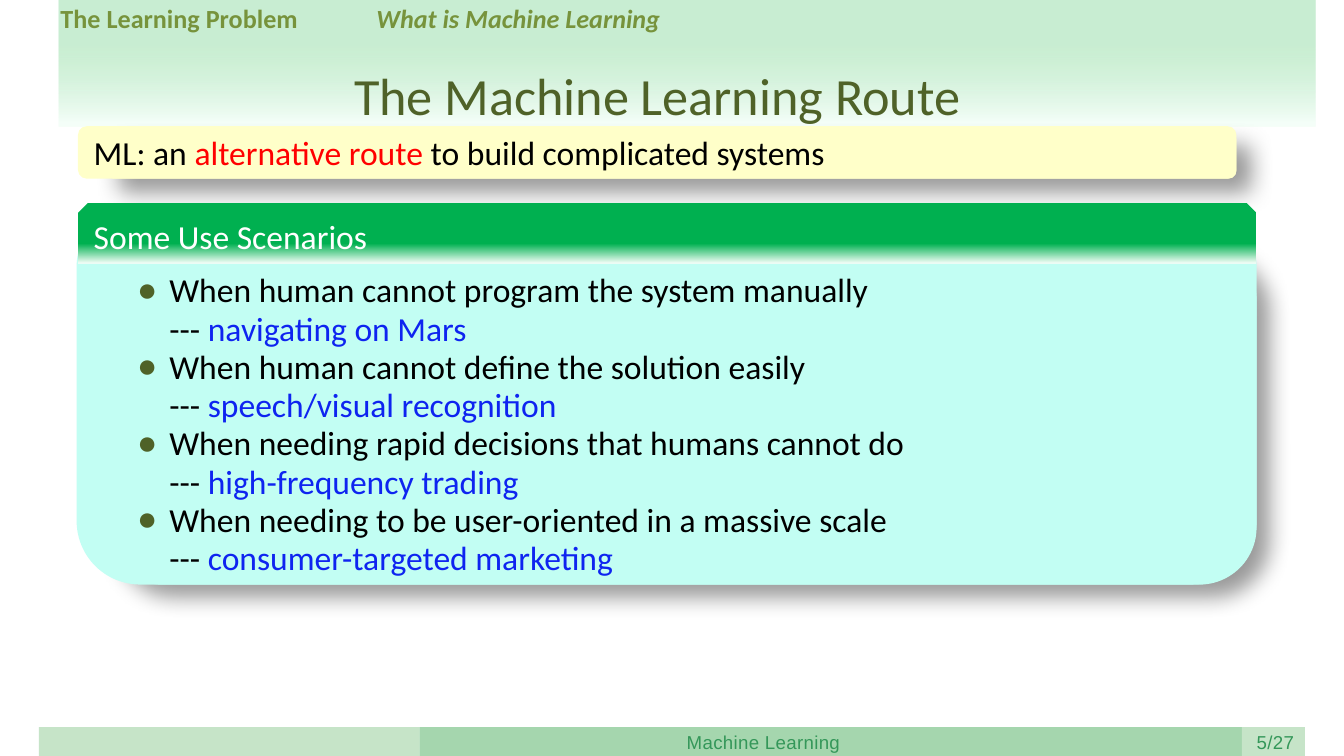
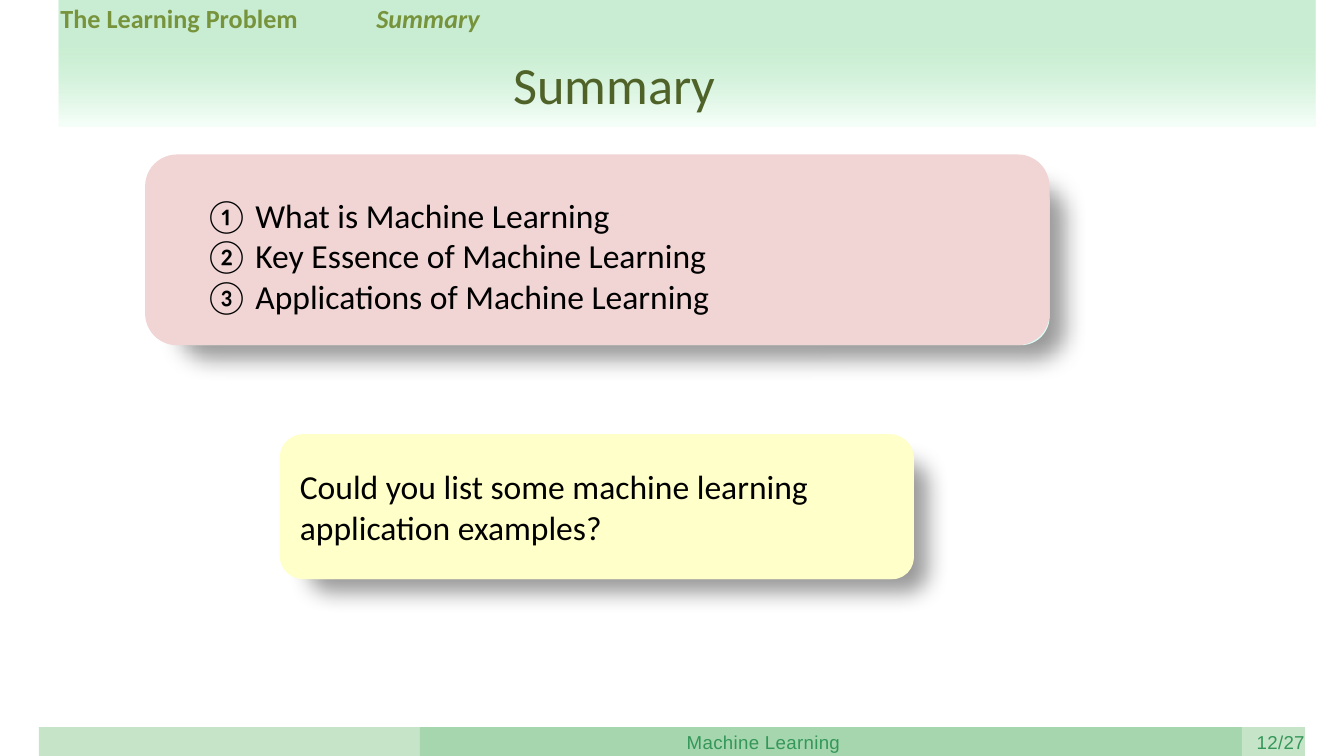
from pptx import Presentation, util as u
from pptx.dml.color import RGBColor
from pptx.enum import shapes, text
from pptx.oxml import parse_xml
from pptx.oxml.ns import nsdecls, qn
from lxml import etree

MINT = RGBColor(0xAD, 0xE5, 0xBA)
PALE_MINT = RGBColor(0xF4, 0xFE, 0xF8)
FOOTER_LIGHT = RGBColor(0xC6, 0xE4, 0xC8)
FOOTER_DARK = RGBColor(0xA5, 0xD6, 0xAE)
FOOTER_TEXT = RGBColor(0x34, 0x97, 0x59)
OLIVE = RGBColor(0x77, 0x93, 0x3C)
DARK_OLIVE = RGBColor(0x4F, 0x62, 0x28)
YELLOW = RGBColor(0xFF, 0xFF, 0xC9)
AQUA = RGBColor(0xC2, 0xFE, 0xF3)
PALE_AQUA = RGBColor(0xDA, 0xFE, 0xF7)
PINK = RGBColor(0xF0, 0xD5, 0xD4)
GREEN = RGBColor(0x00, 0xB0, 0x50)
RED = RGBColor(0xFF, 0x00, 0x00)
BLUE = RGBColor(0x0E, 0x24, 0xF0)
BLACK = RGBColor(0x00, 0x00, 0x00)
WHITE = RGBColor(0xFF, 0xFF, 0xFF)

RECT = shapes.MSO_SHAPE.RECTANGLE
ROUNDED = shapes.MSO_SHAPE.ROUNDED_RECTANGLE
SNIPPED = shapes.MSO_SHAPE.SNIP_2_SAME_RECTANGLE
INSETS = (0.08, 0.04, 0.08, 0.04)

SHADOW = (f'<a:effectLst {nsdecls("a")}><a:outerShdw blurRad="152400" dist="127000" '
          'dir="2700000" algn="tl" rotWithShape="0"><a:srgbClr val="000000">'
          '<a:alpha val="40000"/></a:srgbClr></a:outerShdw></a:effectLst>')

prs = Presentation()
prs.slide_width, prs.slide_height = u.Inches(10), u.Inches(5.625)


def area(x, y, w, h):
    """Turn percentages of the slide's width and height into lengths."""
    return [u.Emu(round(share * side / 100)) for share, side in
            zip((x, y, w, h), (prs.slide_width, prs.slide_height) * 2)]


def write(frame, paragraphs, size=18, font="Calibri", bold=None, italic=None,
          align=text.PP_ALIGN.LEFT, insets=INSETS, anchor=text.MSO_ANCHOR.TOP):
    """Fill a frame; each paragraph is a list of (words, colour)."""
    frame.word_wrap = True
    frame.auto_size = text.MSO_AUTO_SIZE.NONE
    frame.vertical_anchor = anchor
    (frame.margin_left, frame.margin_top,
     frame.margin_right, frame.margin_bottom) = map(u.Inches, insets)
    for number, pieces in enumerate(paragraphs):
        paragraph = frame.add_paragraph() if number else frame.paragraphs[0]
        paragraph.alignment = align
        paragraph.space_before = u.Pt(0)
        for words, colour in pieces:
            first_new = len(paragraph.runs)
            for part, line in enumerate(words.split("\n")):
                if part:
                    paragraph.add_line_break()
                paragraph.add_run().text = line
            for run in paragraph.runs[first_new:]:
                run.font.size, run.font.name = u.Pt(size), font
                run.font.bold, run.font.italic = bold, italic
                run.font.color.rgb = colour


scenarios = [
    ("When human cannot program the system manually", "navigating on Mars"),
    ("When human cannot define the solution easily", "speech/visual recognition"),
    ("When needing rapid decisions that humans cannot do", "high-frequency trading"),
    ("When needing to be user-oriented in a massive scale", "consumer-targeted marketing"),
]
topics = ["What is Machine Learning", "Key Essence of Machine Learning",
          "Applications of Machine Learning"]

# Cards: front area, offset of the layer behind, front and back colour, words
pages = [
    dict(section="What is Machine Learning", title="The Machine Learning Route",
         title_at=(16.5, 7.64), page="5/27",
         cards=[((5.8, 16.71, 86.2, 6.93), (2.1, 0.71), YELLOW, YELLOW,
                 [("ML: an ", BLACK), ("alternative route ", RED),
                  ("to build complicated systems", BLACK)]),
                ((5.7, 26.84, 87.8, 50.49), (2.1, 5.16), AQUA, AQUA, [])],
         header="Some Use Scenarios",
         items=[[(f"{case}\n--- ", BLACK), (example, BLUE)] for case, example in scenarios],
         items_at=(9.4, 34.84, 75.5, 42.49), items_insets=(0.08, 0.06, 0.08, 0.04),
         indent=0.24, line=u.Pt(20.5),
         bullet=("buChar", "char", "●")),
    dict(section="Summary", title="Summary", title_at=(13.3, 6.22), page="12/27",
         cards=[((10.8, 20.44, 67.3, 25.24), (1.6, 2.49), PINK, PALE_AQUA, []),
                ((20.8, 57.42, 47.2, 19.2), (1.2, 1.96), YELLOW, YELLOW,
                 [("Could you list some machine learning application examples?", BLACK)])],
         header=None, items=[[(topic, BLACK)] for topic in topics],
         items_at=(14.2, 24.89, 55, 17.96), items_insets=(0.1, 0.05, 0.1, 0.05),
         indent=0.38, line=1.0,
         bullet=("buAutoNum", "type", "circleNumDbPlain")),
]

for page in pages:
    slide = prs.slides.add_slide(prs.slide_layouts[1])
    tree = slide.shapes
    title, items = slide.placeholders

    # Top band, fading downwards
    band = tree.add_shape(RECT, *area(4.4, -0.36, 93.5, 17.07))
    blocks = [(band, (MINT, 0.37), (PALE_MINT, 0.96))]

    # Footer bars
    for left, right, colour in [(2.9, 31.2, FOOTER_LIGHT), (31.2, 92.4, FOOTER_DARK),
                                (92.4, 97.1, FOOTER_LIGHT)]:
        bar = tree.add_shape(RECT, *area(left, 96.18, right - left, 3.82))
        bar.fill.solid()
        bar.fill.fore_color.rgb = colour
        bar.line.fill.background()
        bar.shadow.inherit = False

    # Footer words
    for left, width, inset, words in [(51, 21.6, 0.01, "Machine Learning"),
                                      (92.9, 4.2, 0.06, page["page"])]:
        note = tree.add_textbox(*area(left, 96.71, width, 3.02))
        write(note.text_frame, [[(words, FOOTER_TEXT)]], 10, "Arial", insets=(inset, 0, 0, 0))
        note.text_frame.word_wrap = False
        note.text_frame.paragraphs[0].runs[0].font._element.set("spc", "20")

    # Chapter and section
    for left, width, words, italic in [(3.7, 23.5, "The Learning Problem", None),
                                       (27.2, 30.6, page["section"], True)]:
        crumb = tree.add_textbox(*area(left, -0.36, width, 5.51))
        write(crumb.text_frame, [[(words, OLIVE)]], 14, bold=True, italic=italic)

    # Title, lifted above the band
    title.left, title.top, title.width, title.height = area(*page["title_at"], 64.8, 9.78)
    write(title.text_frame, [[(page["title"], DARK_OLIVE)]], 28, align=text.PP_ALIGN.CENTER)
    tree._spTree.append(title._element)

    # Cards: a shadowed layer behind and a plain one in front
    for (x, y, w, h), (dx, dy), front_fill, back_fill, words in page["cards"]:
        back = tree.add_shape(ROUNDED, *area(x + dx, y + dy, w - dx, h - dy))
        front = tree.add_shape(ROUNDED, *area(x, y, w, h))
        for layer, colour in [(back, back_fill), (front, front_fill)]:
            layer.fill.solid()
            layer.fill.fore_color.rgb = colour
            layer.line.fill.background()
        back._element.spPr.append(parse_xml(SHADOW))
        front.shadow.inherit = False
        if words:
            write(front.text_frame, [words], insets=(0.1, 0.05, 0.1, 0.05),
                  anchor=text.MSO_ANCHOR.MIDDLE)

    # Header of the scenarios card
    if page["header"]:
        header = tree.add_shape(SNIPPED, *area(5.8, 26.84, 87.7, 8))
        write(header.text_frame, [[(page["header"], WHITE)]], anchor=text.MSO_ANCHOR.MIDDLE)
        blocks.append((header, (GREEN, 0.67), (PALE_MINT, 1)))

    # Gradients of band and header
    for block, *stops in blocks:
        block.fill.gradient()
        block.fill.gradient_angle = 270
        for stop, (colour, position) in zip(block.fill.gradient_stops, stops):
            stop.color.rgb, stop.position = colour, position
        block.line.fill.background()
        block.shadow.inherit = False
    mint = next(band._element.iter(qn("a:srgbClr")))
    etree.SubElement(mint, qn("a:alpha")).set("val", "65000")

    # List, lifted above the cards
    items.left, items.top, items.width, items.height = area(*page["items_at"])
    write(items.text_frame, page["items"], insets=page["items_insets"])
    tag, attribute, value = page["bullet"]
    for paragraph in items.text_frame.paragraphs:
        paragraph.line_spacing = page["line"]
        props = paragraph._p.get_or_add_pPr()
        props.set("marL", str(u.Inches(page["indent"])))
        props.set("indent", str(-u.Inches(page["indent"])))
        if tag == "buChar":
            tint = etree.SubElement(props, qn("a:buClr"))
            etree.SubElement(tint, qn("a:srgbClr")).set("val", str(DARK_OLIVE))
        etree.SubElement(props, qn(f"a:{tag}")).set(attribute, value)
    tree._spTree.append(items._element)

prs.save("out.pptx")
